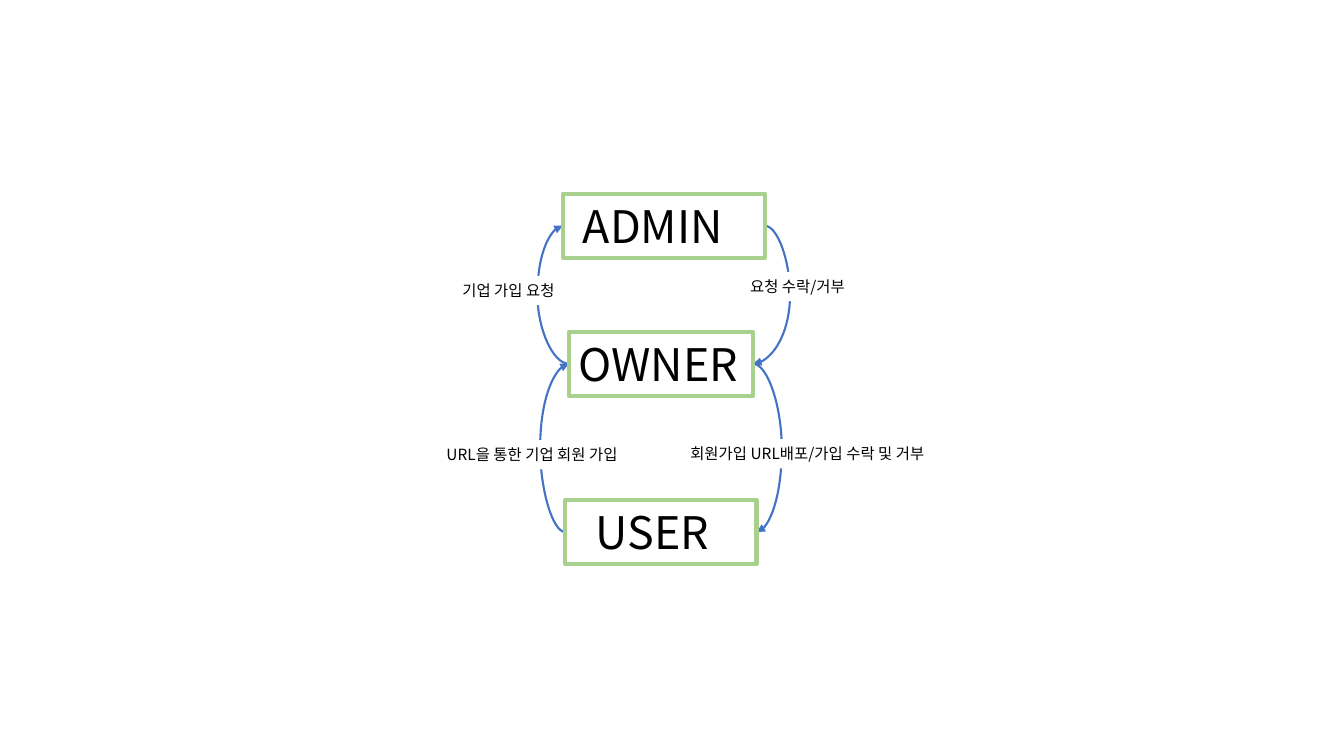
import pptx
import pptx.util
import pptx.dml.color
import pptx.enum.shapes
import pptx.enum.text
import pptx.oxml
import pptx.oxml.ns

Pt = pptx.util.Pt
RGB = pptx.dml.color.RGBColor
BLUE = RGB(0x44, 0x72, 0xC4)
GREEN = RGB(0xA9, 0xD1, 0x8E)
BLACK = RGB(0, 0, 0)
WHITE = RGB(0xFF, 0xFF, 0xFF)
FONT = "Noto Sans CJK KR"

ROLES = [
    ("ADMIN", 401.9, 138.3, 144.5, 14.4),
    ("OWNER", 406.3, 236.9, 131.7, 7.2),
    ("USER", 403.8, 357.1, 136.7, 21.6),
]
LABELS = [
    ("기업 가입 요청", 323.2, 197, 95),
    ("요청 수락/거부", 528.7, 194.2, 95),
    ("URL을 통한 기업 회원 가입", 311.8, 314.4, 154),
    ("회원가입 URL배포/가입 수락 및 거부", 486, 313.7, 203.8),
]
LEFT, RIGHT = 1, 3
FLOWS = [
    ("ADMIN", "OWNER", RIGHT),
    ("OWNER", "ADMIN", LEFT),
    ("OWNER", "USER", RIGHT),
    ("USER", "OWNER", LEFT),
]
BOX_H, LABEL_H, BULGE = 46, 20.9, 18


def add_sub(parent, tag, **attrs):
    el = pptx.oxml.parse_xml(f"<{tag} {pptx.oxml.ns.nsdecls('a')}/>")
    for name, value in attrs.items():
        el.set(name, value)
    parent.append(el)
    return el


def write(sp, text, size, inset=7.2):
    tf = sp.text_frame
    tf.word_wrap = True
    tf.vertical_anchor = pptx.enum.text.MSO_ANCHOR.TOP
    tf.margin_left = Pt(inset)
    tf.margin_right = Pt(0)
    p = tf.paragraphs[0]
    p.alignment = pptx.enum.text.PP_ALIGN.LEFT
    r = p.add_run()
    r.text = text
    r.font.size = Pt(size)
    r.font.name = FONT
    r.font.color.rgb = BLACK
    add_sub(r.font._element, "a:ea", typeface=FONT)


def add_role(s, text, x, y, w, inset):
    sp = s.shapes.add_shape(pptx.enum.shapes.MSO_SHAPE.RECTANGLE, Pt(x), Pt(y), Pt(w), Pt(BOX_H))
    sp.shadow.inherit = False
    sp.fill.background()
    sp.line.color.rgb = GREEN
    sp.line.width = Pt(3)
    write(sp, text, 32, inset)
    return sp


def add_flow(s, start, end, side):
    x1, x2 = [b.left + (b.width if side == RIGHT else 0) for b in (start, end)]
    y1, y2 = [b.top + b.height // 2 for b in (start, end)]
    c = s.shapes.add_connector(pptx.enum.shapes.MSO_CONNECTOR.CURVE, x1, y1, x2, y2)
    c.begin_connect(start, side)
    c.end_connect(end, side)
    c.line.color.rgb = BLUE
    c.line.width = Pt(1.5)
    add_sub(c.line._get_or_add_ln(), "a:tailEnd", type="triangle")
    add_sub(c.element.spPr, "a:effectLst")
    bend = max(x1, x2) + Pt(BULGE) if side == RIGHT else min(x1, x2) - Pt(BULGE)
    adj = round((bend - x1) / (x2 - x1) * 100000)
    guides = c.element.spPr.find(pptx.oxml.ns.qn("a:prstGeom")).get_or_add_avLst()
    add_sub(guides, "a:gd", name="adj1", fmla=f"val {adj}")
    return c


def main():
    prs = pptx.Presentation()
    prs.slide_width, prs.slide_height = Pt(960), Pt(540)
    s = prs.slides.add_slide(prs.slide_layouts[6])
    boxes = {role[0]: add_role(s, *role) for role in ROLES}
    for start, end, side in FLOWS:
        c = add_flow(s, boxes[start], boxes[end], side)
        boxes["ADMIN"].element.addprevious(c.element)
    for text, x, y, w in LABELS:
        sp = s.shapes.add_textbox(Pt(x), Pt(y), Pt(w), Pt(LABEL_H))
        sp.fill.solid()
        sp.fill.fore_color.rgb = WHITE
        write(sp, text, 11)
    prs.save("out.pptx")


if __name__ == "__main__":
    main()
